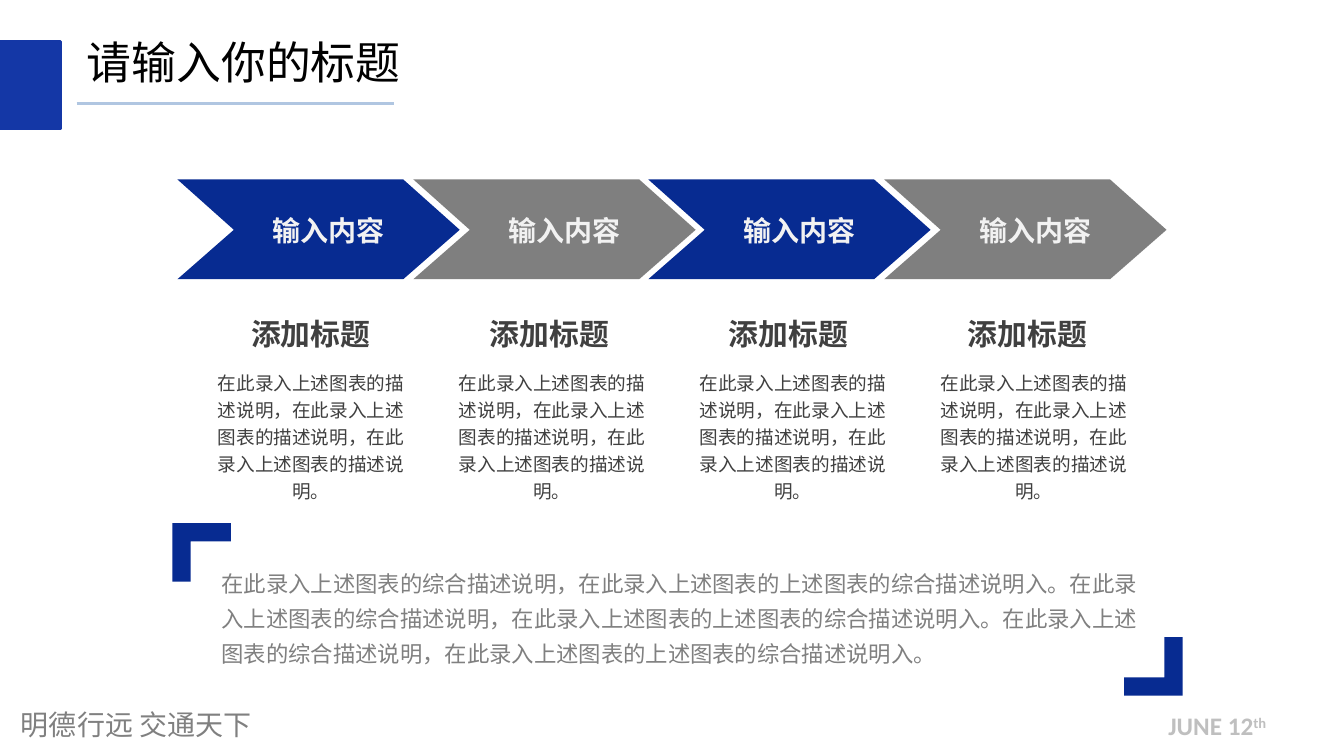
from dataclasses import dataclass

from lxml import etree
from pptx import Presentation
from pptx.dml.color import RGBColor
from pptx.enum.shapes import MSO_CONNECTOR, MSO_SHAPE
from pptx.enum.text import MSO_ANCHOR, MSO_AUTO_SIZE, PP_ALIGN
from pptx.oxml.ns import qn
from pptx.util import Pt

PX = 9144  # EMU per px, 100 px to the inch
LEFT, CENTER = PP_ALIGN.LEFT, PP_ALIGN.CENTER
TOP, MIDDLE = MSO_ANCHOR.TOP, MSO_ANCHOR.MIDDLE
NO_AUTOFIT = MSO_AUTO_SIZE.NONE
RECTANGLE = MSO_SHAPE.RECTANGLE
STRAIGHT = MSO_CONNECTOR.STRAIGHT
TITLE_ONLY = 5


@dataclass(frozen=True)
class Theme:
    cjk: str = "Noto Sans CJK SC"
    motto_font: str = "Noto Sans CJK JP"
    label_font: str = "Arial"
    date_font: str = "Calibri"
    navy: str = "072B91"
    royal: str = "1437A6"
    sky: str = "B0C6E1"
    steel: str = "7F7F7F"
    black: str = "000000"
    dark: str = "404040"
    muted: str = "808080"
    pale: str = "BFBFBF"
    light: str = "F2F2F2"
    title_size: float = 32
    heading_size: float = 21.3
    label_size: float = 20
    date_size: float = 18
    summary_size: float = 16
    body_size: float = 13.3


THEME = Theme()

STEPS = [
    ("输入内容", "添加标题", "在此录入上述图表的描述说明，" * 2 + "在此录入上述图表的描述说明。", color)
    for color in (THEME.navy, THEME.steel) * 2
]
SUMMARY = "在此录入上述图表的综合描述说明，在此录入上述图表的上述图表的综合描述说明入。" * 3


def emu(*lengths):
    return [round(length * PX) for length in lengths]


def rgb(color):
    return RGBColor.from_string(color)


def put_text(slide, box, text, *, size, color, font=THEME.cjk, bold=False, align=LEFT,
             anchor=TOP, wrap=True, spacing=None, superscript="", holder=None):
    """Write text in a new text box, or in the given placeholder."""
    if holder is None:
        holder = slide.shapes.add_textbox(*emu(*box))
    else:
        holder.left, holder.top, holder.width, holder.height = emu(*box)
    frame = holder.text_frame
    frame.auto_size = NO_AUTOFIT
    frame.word_wrap = wrap
    frame.vertical_anchor = anchor
    paragraph = frame.paragraphs[0]
    paragraph.alignment = align
    if spacing:
        paragraph.line_spacing = spacing
    for part in filter(None, (text, superscript)):
        run = paragraph.add_run()
        run.text = part
        run.font.size = Pt(size)
        run.font.bold = bold
        run.font.color.rgb = rgb(color)
        run.font.name = font
        properties = run.font._element
        east_asian = THEME.cjk if font == THEME.label_font else font
        etree.SubElement(properties, qn("a:ea"), typeface=east_asian)
        if part == superscript:
            properties.set("baseline", "30000")


def paint(shape, color):
    shape.shadow.inherit = False
    shape.fill.solid()
    shape.fill.fore_color.rgb = rgb(color)
    shape.line.fill.background()


def put_outline(slide, points, color):
    builder = slide.shapes.build_freeform(*points[0], scale=PX)
    builder.add_line_segments(points[1:], close=True)
    paint(builder.convert_to_shape(), color)


def header(slide, box):
    left, top, width, height = box
    # Blue tab on the slide edge
    tab = slide.shapes.add_shape(RECTANGLE, *emu(left, top + 12, 60, 87))
    paint(tab, THEME.royal)
    tab.line.color.rgb = rgb(THEME.royal)
    tab.line.width = Pt(2)
    # Title and its underline
    put_text(slide, (left + 76, top, width - 76, 64), "请输入你的标题", size=THEME.title_size,
             color=THEME.black, wrap=False, holder=slide.shapes.title)
    rule_y = top + 74
    rule = slide.shapes.add_connector(STRAIGHT, *emu(left + 76, rule_y, left + 391, rule_y))
    rule.line.color.rgb = rgb(THEME.sky)
    rule.line.width = Pt(2.25)
    etree.SubElement(rule._element.spPr, qn("a:effectLst"))


def chevron_row(slide, box):
    left, top, width, height = box
    length, point = 280, 56
    pitch = (width - length) / (len(STEPS) - 1)
    for index, (label, _, _, color) in enumerate(STEPS):
        x = round(left + index * pitch)
        shoulder, middle, bottom = x + length - point, top + height / 2, top + height
        put_outline(slide, [(x, top), (shoulder, top), (x + length, middle),
                            (shoulder, bottom), (x, bottom), (x + point, middle)], color)
        put_text(slide, (x + 31, top + 28, 238, 44), label, size=THEME.label_size,
                 color=THEME.light, font=THEME.label_font, bold=True, align=CENTER,
                 anchor=MIDDLE)


def description_row(slide, box):
    left, top, width, height = box
    column = 207
    heading_pitch, body_pitch = 237, (width - column) / (len(STEPS) - 1)
    for index, (_, heading, body, _) in enumerate(STEPS):
        put_text(slide, (left + 33 + index * heading_pitch, top, 140, 46), heading,
                 size=THEME.heading_size, color=THEME.dark, bold=True, align=CENTER,
                 wrap=False)
        put_text(slide, (left + index * body_pitch, top + 52, column, height - 52), body,
                 size=THEME.body_size, color=THEME.dark, align=CENTER, spacing=1.2)


def summary(slide, box):
    left, top, width, height = box
    arm, thick = 58, 18
    bracket = [(0, 0), (arm, 0), (arm, thick), (thick, thick), (thick, arm), (0, arm)]
    # Top left corner, and the same corner turned half round
    for x, y, turn in ((left, top, 1), (left + width, top + height, -1)):
        put_outline(slide, [(x + turn * dx, y + turn * dy) for dx, dy in bracket], THEME.navy)
    put_text(slide, (left + 39, top + 34, width - 68, 112), SUMMARY,
             size=THEME.summary_size, color=THEME.muted, spacing=1.3)


def footer(slide, box):
    left, top, width, height = box
    put_text(slide, (left, top, 394, height), "明德行远 交通天下", size=THEME.label_size,
             color=THEME.muted, font=THEME.motto_font)
    put_text(slide, (left + width - 120, top + 3, 120, 40), "JUNE 12", superscript="th",
             size=THEME.date_size, color=THEME.pale, font=THEME.date_font, bold=True,
             wrap=False)


def main():
    deck = Presentation()
    deck.slide_width, deck.slide_height = emu(1333, 750)
    slide = deck.slides.add_slide(deck.slide_layouts[TITLE_ONLY])
    footer(slide, (11, 697, 1258, 44))
    chevron_row(slide, (176, 178, 981, 99))
    description_row(slide, (205, 308, 924, 194))
    summary(slide, (171, 519, 1002, 171))
    header(slide, (0, 29, 410, 99))
    deck.save("out.pptx")


if __name__ == "__main__":
    main()
